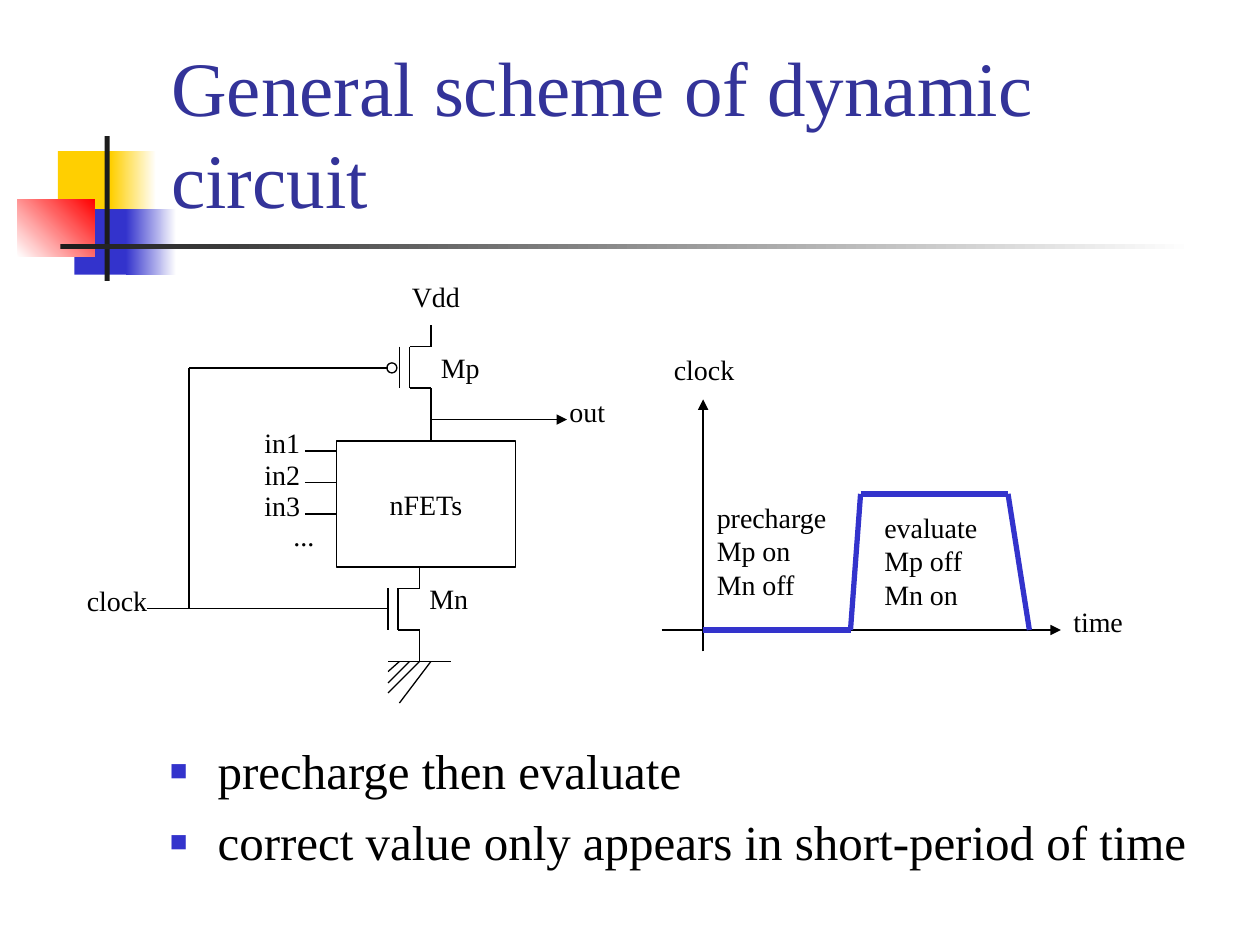
from itertools import pairwise

from lxml import etree
from pptx import Presentation
from pptx import util as u
from pptx.dml.color import RGBColor
from pptx.enum import shapes, text
from pptx.oxml import ns

FONT = "Times New Roman"
COLORS = {
    "black": "000000", "white": "FFFFFF", "ink": "1C1C1C", "title": "333399",
    "blue": "3333CC", "yellow": "FFCF01", "red": "FF0000",
}


def rgb(name):
    return RGBColor.from_string(COLORS[name])


def add_child(parent, tag, **attributes):
    return etree.SubElement(parent, ns.qn(tag), attributes)


def write(frame, words, size, color="black"):
    frame.text = words
    for para in frame.paragraphs:
        for span in para.runs:
            span.font.name = FONT
            span.font.size = u.Pt(size)
            span.font.color.rgb = rgb(color)


def add_block(page, left, top, width, height, start, end=None, angle=0):
    box = page.shapes.add_shape(
        shapes.MSO_SHAPE.RECTANGLE, *map(u.Inches, (left, top, width, height)))
    box.shadow.inherit = False
    box.line.fill.background()
    if end is None:
        box.fill.solid()
        box.fill.fore_color.rgb = rgb(start)
        return
    box.fill.gradient()
    box.fill.gradient_angle = angle
    for stop, color in zip(box.fill.gradient_stops, (start, end)):
        stop.color.rgb = rgb(color)


def add_outline(group, kind, left, top, width, height):
    box = group.add_shape(kind, *map(u.Inches, (left, top, width, height)))
    box.shadow.inherit = False
    box.fill.background()
    box.line.color.rgb = rgb("black")
    box.line.width = u.Pt(0.75)
    return box


def add_wire(group, *points, color="black", width=0.75, arrow=False):
    for start, end in pairwise(points):
        wire = group.add_connector(
            shapes.MSO_CONNECTOR.STRAIGHT, *map(u.Inches, start + end))
        wire.line.color.rgb = rgb(color)
        wire.line.width = u.Pt(width)
        if arrow:
            add_child(wire.line._get_or_add_ln(), "a:tailEnd", type="triangle")
        add_child(wire._element.spPr, "a:effectLst")


def add_label(group, words, left, top, width, height=0.37):
    box = group.add_textbox(*map(u.Inches, (left, top, width, height)))
    box.text_frame.word_wrap = False
    box.text_frame.auto_size = text.MSO_AUTO_SIZE.NONE
    write(box.text_frame, words, 16)
    for para in box.text_frame.paragraphs:
        para.alignment = text.PP_ALIGN.LEFT


def add_transistor(group, name, gate, top, label_top):
    channel, terminal, bottom = gate + 0.08, gate + 0.25, top + 0.33
    add_wire(group, (gate, top), (gate, bottom))
    add_wire(group, (terminal, top - 0.17), (terminal, top), (channel, top),
             (channel, bottom), (terminal, bottom), (terminal, bottom + 0.25))
    add_label(group, name, gate + 0.23, label_top, 0.55)


def add_title(page):
    title = page.shapes.title
    title.left, title.top, title.width, title.height = map(
        u.Inches, (1.26, 0.23, 8.52, 1.6))
    frame = title.text_frame
    frame.auto_size = text.MSO_AUTO_SIZE.NONE
    frame.vertical_anchor = text.MSO_ANCHOR.BOTTOM
    write(frame, "General scheme of dynamic circuit", 44, "title")
    frame.paragraphs[0].alignment = text.PP_ALIGN.LEFT
    page.shapes._spTree.append(title._element)


def add_bullets(page, lines):
    box = page.shapes.add_textbox(*map(u.Inches, (1.25, 5.83, 8.5, 1.37)))
    box.text_frame.word_wrap = True
    write(box.text_frame, "\n".join(lines), 28)
    indent = u.Inches(0.38)
    for para in box.text_frame.paragraphs:
        para.space_before = u.Pt(7)
        properties = para._p.get_or_add_pPr()
        properties.set("marL", str(indent))
        properties.set("indent", str(-indent))
        color = add_child(properties, "a:buClr")
        add_child(color, "a:srgbClr", val=COLORS["blue"])
        add_child(properties, "a:buSzPct", val="60000")
        add_child(properties, "a:buFont", typeface=FONT)
        add_child(properties, "a:buChar", char="■")


def add_decoration(page):
    add_block(page, 0.46, 1.2, 0.48, 0.52, "yellow")
    add_block(page, 0.88, 1.2, 0.36, 0.52, "yellow", "white")
    add_block(page, 0.59, 1.66, 0.46, 0.52, "blue")
    add_block(page, 1, 1.66, 0.4, 0.52, "blue", "white")
    add_block(page, 0.14, 1.58, 0.61, 0.46, "white", "red", 45)
    add_block(page, 0.83, 1.08, 0.04, 1.15, "ink")
    add_block(page, 0.48, 1.94, 9, 0.04, "ink", "white")


def add_timing(page):
    group = page.shapes.add_group_shape().shapes
    add_wire(group, (5.25, 5), (8.42, 5), arrow=True)
    add_wire(group, (5.58, 5.17), (5.58, 3.17), arrow=True)
    add_wire(group, (5.58, 5), (6.75, 5), (6.83, 3.92), (8, 3.92), (8.17, 5),
             color="blue", width=3)
    add_label(group, "time", 8.42, 4.75, 0.65)
    add_label(group, "clock", 5.25, 2.75, 0.75)
    add_label(group, "precharge\nMp on\nMn off", 5.59, 3.92, 1.15, 0.9)
    add_label(group, "evaluate\nMp off\nMn on", 6.92, 4, 1, 0.9)


def add_circuit(page):
    group = page.shapes.add_group_shape().shapes
    add_transistor(group, "Mp", 3.17, 2.75, 2.73)
    add_transistor(group, "Mn", 3.08, 4.67, 4.57)
    add_outline(group, shapes.MSO_SHAPE.OVAL, 3.07, 2.88, 0.08, 0.08)
    block = add_outline(group, shapes.MSO_SHAPE.RECTANGLE, 2.67, 3.5, 1.42, 1)
    block.text_frame.word_wrap = False
    block.text_frame.vertical_anchor = text.MSO_ANCHOR.MIDDLE
    write(block.text_frame, "nFETs", 16)
    block.text_frame.paragraphs[0].alignment = text.PP_ALIGN.CENTER

    for index in range(3):
        y = 3.58 + index * 0.25
        add_wire(group, (2.42, y), (2.67, y))
        add_label(group, f"in{index + 1}", 2, y - 0.25, 0.55)
    add_label(group, "...", 2.23, 4.07, 0.45)

    add_wire(group, (1.17, 4.83), (3.08, 4.83))
    add_wire(group, (1.5, 4.83), (1.5, 2.92), (3.08, 2.92))
    add_label(group, "clock", 0.59, 4.58, 0.75)
    add_wire(group, (3.42, 3.33), (3.42, 3.5))
    add_wire(group, (3.42, 3.33), (4.5, 3.33), arrow=True)
    add_label(group, "out", 4.42, 3.08, 0.55)
    add_label(group, "Vdd", 3.17, 2.17, 0.65)

    ground = 5.25
    add_wire(group, (3.08, ground), (3.58, ground))
    hatches = [(3.17, 3.08, 5.33), (3.25, 3.08, 5.42),
               (3.33, 3.08, 5.5), (3.42, 3.17, 5.58)]
    for start, end, bottom in hatches:
        add_wire(group, (start, ground), (end, bottom))


def main():
    deck = Presentation()
    deck.slide_width, deck.slide_height = u.Inches(10), u.Inches(7.5)
    page = deck.slides.add_slide(deck.slide_layouts.get_by_name("Title Only"))
    add_decoration(page)
    add_title(page)
    add_bullets(page, ["precharge then evaluate",
                       "correct value only appears in short-period of time"])
    add_timing(page)
    add_circuit(page)
    deck.save("out.pptx")


if __name__ == "__main__":
    main()
